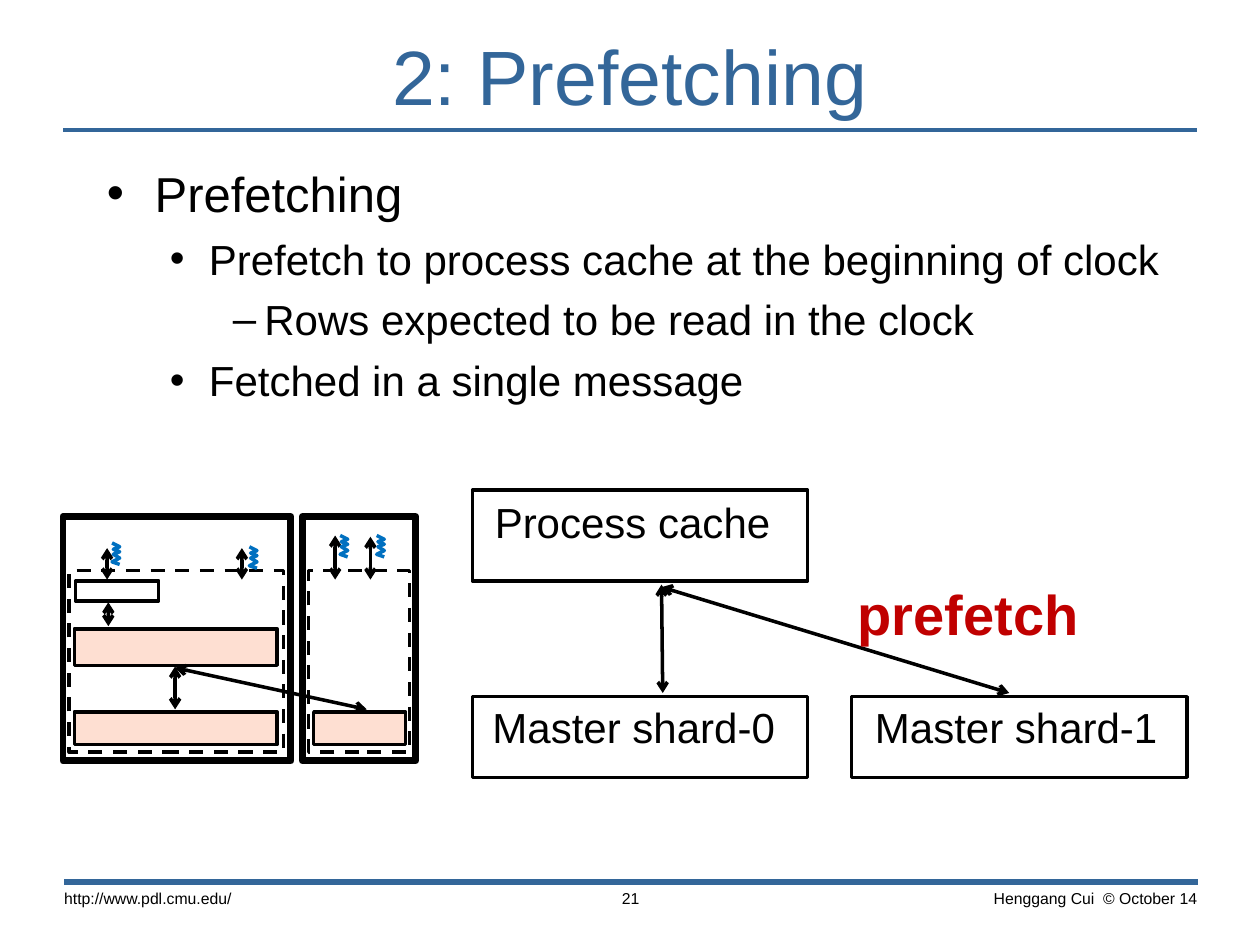
from dataclasses import dataclass
from typing import Any

import lxml.etree
import pptx
import pptx.dml.color
import pptx.enum.dml
import pptx.enum.shapes
import pptx.enum.text
import pptx.oxml.ns
import pptx.util

PX = 9144
ALIGN = pptx.enum.text.PP_ALIGN
ANCHOR = pptx.enum.text.MSO_ANCHOR
DASH = pptx.enum.dml.MSO_LINE.DASH


@dataclass(frozen=True)
class Theme:
    font: str = "Arial"
    ink: str = "000000"
    paper: str = "FFFFFF"
    accent: str = "336699"
    shard: str = "FEDFD2"
    thread: str = "0070C0"
    alert: str = "C00000"
    title: int = 44
    callout: int = 32
    heading: int = 28
    body: int = 24
    footer: int = 9
    line: int = 2
    frame: int = 4


THEME = Theme()


@dataclass(frozen=True)
class Box:
    left: int
    top: int
    width: int
    height: int
    fill: str = THEME.paper
    weight: float = THEME.line
    dashed: bool = False


@dataclass(frozen=True)
class Line:
    x1: int
    y1: int
    x2: int
    y2: int
    color: str = THEME.ink
    weight: float = THEME.line
    arrows: bool = True


@dataclass(frozen=True)
class Thread:
    left: int
    top: int


@dataclass(frozen=True)
class Label:
    text: str
    left: int
    top: int
    width: int
    height: int
    size: int = THEME.body
    align: Any = ALIGN.CENTER
    color: str = THEME.ink
    bold: bool = False
    inset: tuple[int, int] = (10, 5)


@dataclass(frozen=True)
class Bullet:
    text: str
    level: int
    size: int = THEME.body


BULLET_STYLES = [("•", 38, 38), ("•", 81, 31), ("–", 125, 25)]
THREAD_OUTLINE = [(0, 0), (6, 3), (1, 5), (6, 7), (1, 9), (6, 12), (0, 15), (6, 17)]

RULES = [
    Line(50, 103, 950, 103, THEME.accent, 2, False),
    Line(51, 700, 951, 700, THEME.accent, 3.5, False),
]
BULLETS = [
    Bullet("Prefetching", 0, THEME.heading),
    Bullet("Prefetch to process cache at the beginning of clock", 1),
    Bullet("Rows expected to be read in the clock", 2),
    Bullet("Fetched in a single message", 1),
]
FOOTERS = [
    Label("Henggang Cui  © October 14", 707, 699, 254, 42, THEME.footer, ALIGN.RIGHT, inset=(11, 6)),
    Label("http://www.pdl.cmu.edu/", 40, 699, 250, 42, THEME.footer, ALIGN.LEFT, inset=(11, 6)),
    Label("21", 403, 699, 195, 23, THEME.footer, inset=(11, 6)),
]
CACHE_DETAIL = [
    Box(375, 553, 266, 64),
    Label("Master shard-0", 376, 552, 254, 50),
    Box(375, 389, 266, 72),
    Label("Process cache", 375, 389, 254, 50),
    Line(525, 464, 526, 550),
    Line(801, 550, 525, 466),
    Box(676, 553, 266, 64),
    Label("Master shard-1", 681, 552, 251, 50),
]
MACHINES = [
    Box(50, 410, 181, 194, weight=THEME.frame),
    Box(55, 453, 170, 144, dashed=True),
    Line(85, 435, 85, 460),
    Box(59, 565, 161, 26, THEME.shard),
    Thread(89, 431),
    Line(192, 435, 192, 460),
    Thread(198, 434),
    Box(240, 410, 90, 194, weight=THEME.frame),
    Box(245, 453, 80, 144, dashed=True),
    Line(266, 425, 266, 460),
    Box(249, 565, 73, 26, THEME.shard),
    Thread(270, 425),
    Line(294, 426, 294, 460),
    Thread(299, 425),
    Box(59, 499, 161, 29, THEME.shard),
    Line(139, 529, 139, 563),
    Line(291, 563, 139, 530),
    Box(60, 461, 66, 16),
    Line(86, 478, 86, 497),
]
CALLOUT = Label("prefetch", 671, 455, 213, 64, THEME.callout, ALIGN.LEFT, THEME.alert, True)


def apply(target: Any, values: dict[str, Any]) -> None:
    for name, value in values.items():
        setattr(target, name, value)


def rgb(color: str) -> pptx.dml.color.RGBColor:
    return pptx.dml.color.RGBColor.from_string(color)


def add_run(paragraph: Any, text: str, size: int, color: str = THEME.ink, bold: bool = False) -> None:
    run = paragraph.add_run()
    run.text = text
    apply(run.font, {"name": THEME.font, "size": pptx.util.Pt(size), "bold": bold})
    run.font.color.rgb = rgb(color)


def set_line(shape: Any, color: str, weight: float) -> None:
    shape.line.color.rgb = rgb(color)
    shape.line.width = pptx.util.Pt(weight)


def draw_box(shapes: Any, box: Box) -> None:
    rectangle = pptx.enum.shapes.MSO_SHAPE.RECTANGLE
    shape = shapes.add_shape(rectangle, box.left * PX, box.top * PX, box.width * PX, box.height * PX)
    shape.shadow.inherit = False
    shape.fill.solid()
    shape.fill.fore_color.rgb = rgb(box.fill)
    set_line(shape, THEME.ink, box.weight)
    if box.dashed:
        shape.line.dash_style = DASH


def draw_line(shapes: Any, line: Line) -> None:
    straight = pptx.enum.shapes.MSO_CONNECTOR.STRAIGHT
    connector = shapes.add_connector(straight, line.x1 * PX, line.y1 * PX, line.x2 * PX, line.y2 * PX)
    set_line(connector, line.color, line.weight)
    qn = pptx.oxml.ns.qn
    properties = connector.element.spPr
    if line.arrows:
        for end in ("a:headEnd", "a:tailEnd"):
            lxml.etree.SubElement(properties.find(qn("a:ln")), qn(end), type="arrow")
    lxml.etree.SubElement(properties, qn("a:effectLst"))


def draw_label(shapes: Any, label: Label) -> None:
    box = shapes.add_textbox(label.left * PX, label.top * PX, label.width * PX, label.height * PX)
    across, down = (value * PX for value in label.inset)
    apply(box.text_frame, {"word_wrap": True, "margin_left": across, "margin_right": across,
                           "margin_top": down, "margin_bottom": down})
    paragraph = box.text_frame.paragraphs[0]
    paragraph.alignment = label.align
    add_run(paragraph, label.text, label.size, label.color, label.bold)


def draw_thread(shapes: Any, thread: Thread) -> None:
    points = [(thread.left + x, thread.top + y) for x, y in THREAD_OUTLINE]
    builder = shapes.build_freeform(*points[0], scale=PX)
    builder.add_line_segments(points[1:], close=False)
    shape = builder.convert_to_shape()
    shape.shadow.inherit = False
    shape.fill.background()
    set_line(shape, THEME.thread, THEME.line)


def draw_all(shapes: Any, items: list[Any]) -> None:
    painters = {Box: draw_box, Line: draw_line, Label: draw_label, Thread: draw_thread}
    for item in items:
        painters[type(item)](shapes, item)


def draw_title(slide: Any, text: str) -> None:
    title = slide.shapes.title
    apply(title, {"left": 0, "top": 22 * PX, "width": 1000 * PX, "height": 75 * PX})
    apply(title.text_frame, {"vertical_anchor": ANCHOR.MIDDLE, "word_wrap": True})
    title.text_frame.auto_size = pptx.enum.text.MSO_AUTO_SIZE.NONE
    paragraph = title.text_frame.paragraphs[0]
    paragraph.alignment = ALIGN.CENTER
    add_run(paragraph, text, THEME.title, THEME.accent)


def draw_bullets(shapes: Any, bullets: list[Bullet]) -> None:
    frame = shapes.add_textbox(75 * PX, 125 * PX, 886 * PX, 504 * PX).text_frame
    frame.word_wrap = True
    qn = pptx.oxml.ns.qn
    for index, bullet in enumerate(bullets):
        paragraph = frame.add_paragraph() if index else frame.paragraphs[0]
        mark, margin, hanging = BULLET_STYLES[bullet.level]
        apply(paragraph, {"level": bullet.level, "space_before": pptx.util.Pt(6 if index else 0)})
        properties = paragraph._p.get_or_add_pPr()
        properties.set("marL", str(margin * PX))
        properties.set("indent", str(-hanging * PX))
        lxml.etree.SubElement(properties, qn("a:buFont"), typeface=THEME.font)
        lxml.etree.SubElement(properties, qn("a:buChar"), char=mark)
        add_run(paragraph, bullet.text, bullet.size)


def main() -> None:
    presentation = pptx.Presentation()
    apply(presentation, {"slide_width": 1000 * PX, "slide_height": 750 * PX})
    slide = presentation.slides.add_slide(presentation.slide_layouts[5])
    draw_title(slide, "2: Prefetching")
    draw_all(slide.shapes, RULES)
    draw_bullets(slide.shapes, BULLETS)
    draw_all(slide.shapes, FOOTERS)
    for items in (CACHE_DETAIL, MACHINES):
        draw_all(slide.shapes.add_group_shape().shapes, items)
    draw_label(slide.shapes, CALLOUT)
    presentation.save("out.pptx")


if __name__ == "__main__":
    main()
